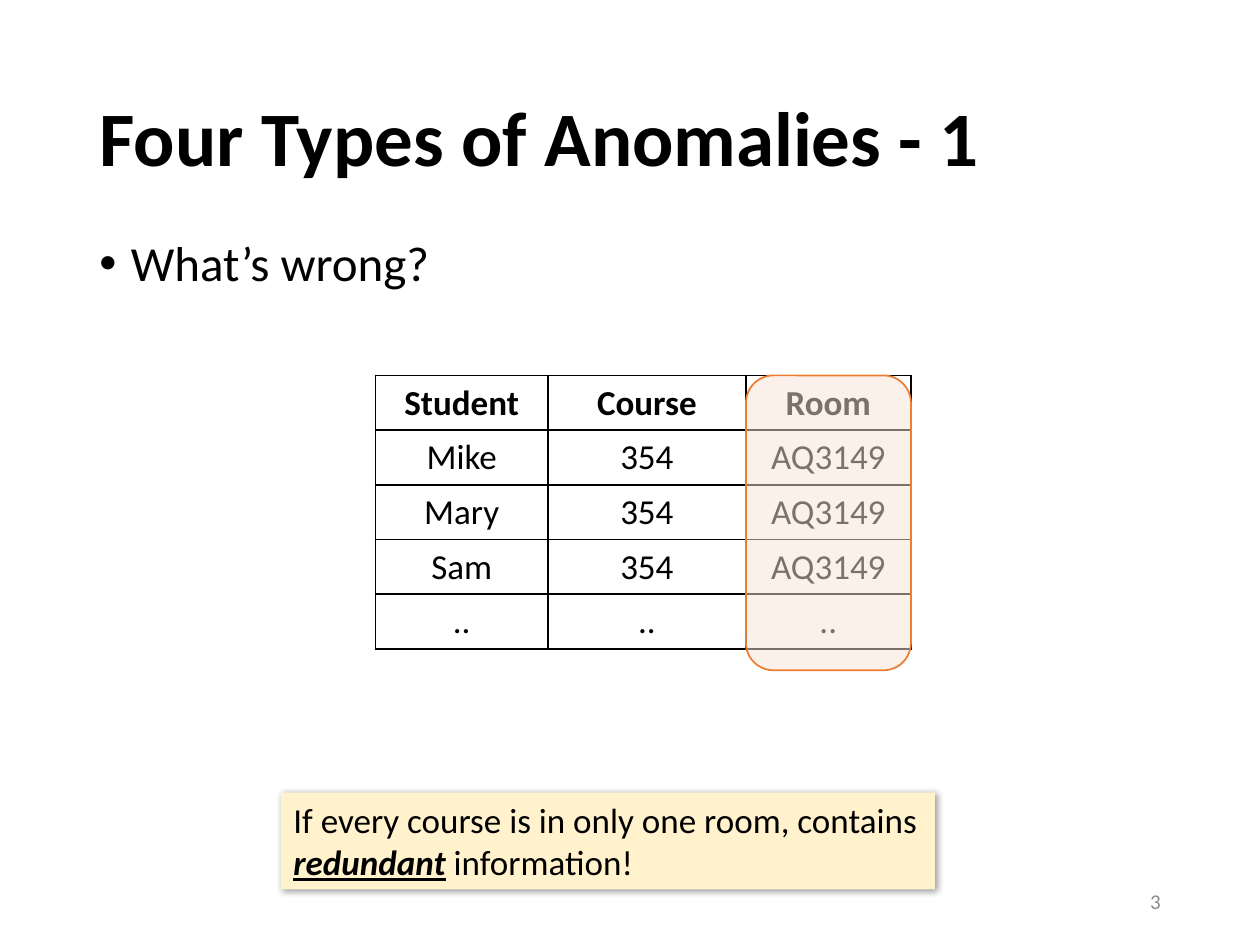
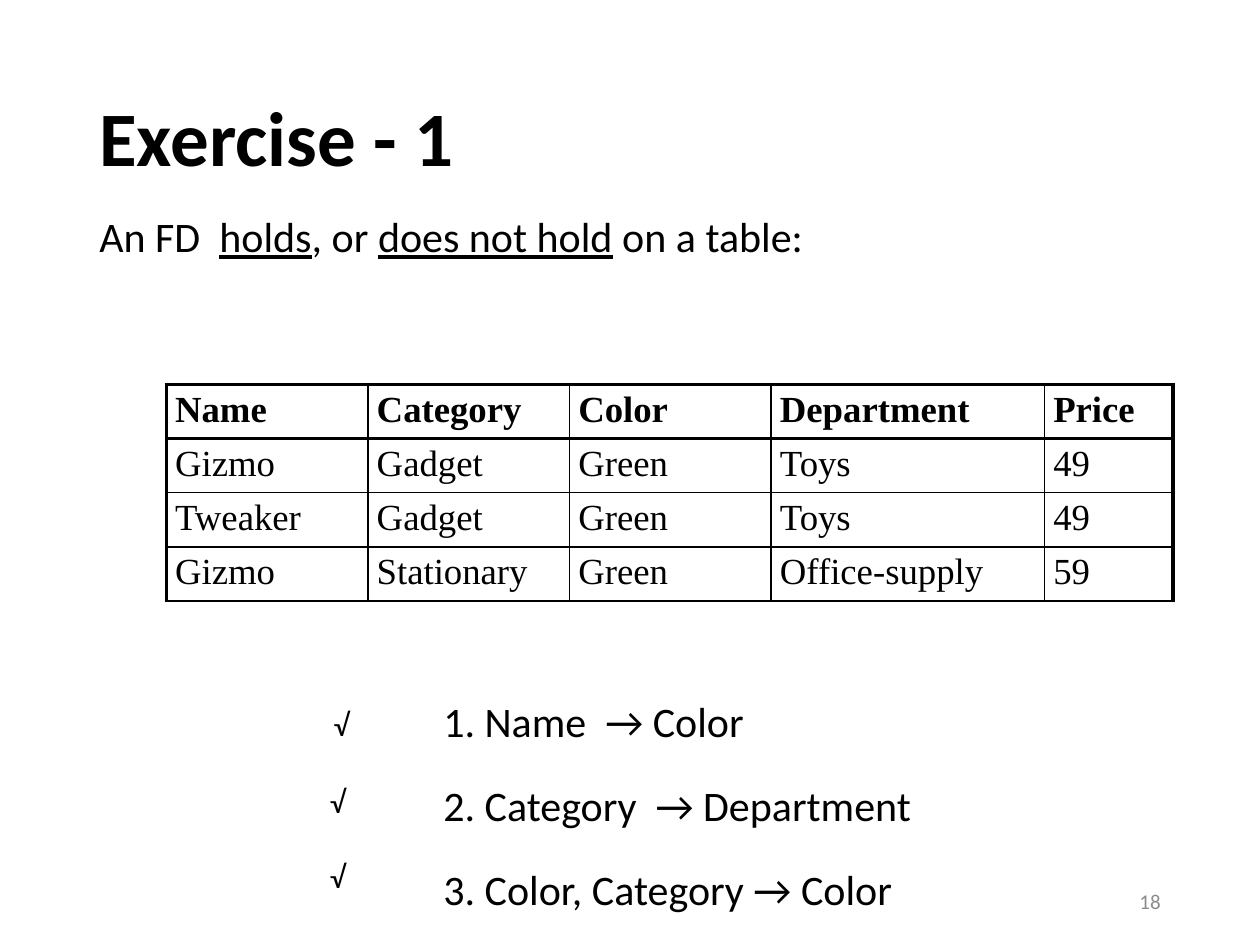
from lxml import etree
from pptx import Presentation
from pptx.dml.color import RGBColor
from pptx.enum.shapes import MSO_SHAPE
from pptx.enum.text import MSO_ANCHOR, PP_ALIGN
from pptx.oxml import parse_xml
from pptx.oxml.ns import nsdecls, qn
from pptx.util import Inches, Pt

COLORS = {
    "text": "000000",
    "number": "8C8C8C",
    "highlight": "FBE5D6",
    "highlight_line": "ED7D31",
    "callout": "FFF2CC",
    "shadow": "000000",
}
BODY_FONT = "Calibri"
TABLE_FONT = "Times New Roman"
TITLE_BOX = (0.69, 0.4, 8.62, 1.45)
NUMBER_BOX = (7.06, 6.95, 2.25, 0.4)
THIN, THICK = 1, 2.25


def rgb(name):
    return RGBColor.from_string(COLORS[name])


def inches(box):
    return [Inches(v) for v in box]


def style_run(r, size, style="", font=BODY_FONT, color="text"):
    r.font.size = Pt(size)
    r.font.name = font
    r.font.color.rgb = rgb(color)
    r.font.bold = "b" in style
    r.font.italic = "i" in style
    r.font.underline = "u" in style


def fill_paragraph(p, runs, size, color="text"):
    for text, style in runs:
        r = p.add_run()
        r.text = text
        style_run(r, size, style, color=color)


def add_text(slide, box, runs, size, color="text", anchor=MSO_ANCHOR.TOP, wrap=True):
    tf = slide.shapes.add_textbox(*inches(box)).text_frame
    tf.word_wrap = wrap
    tf.vertical_anchor = anchor
    fill_paragraph(tf.paragraphs[0], runs, size, color)
    return tf


def add_base_slide(prs, title, number):
    slide = prs.slides.add_slide(prs.slide_layouts[6])
    tf = add_text(slide, TITLE_BOX, [(title, "b")], 44, anchor=MSO_ANCHOR.MIDDLE)
    tf.paragraphs[0].line_spacing = 0.9
    tf = add_text(slide, NUMBER_BOX, [(number, "")], 12, "number", MSO_ANCHOR.MIDDLE)
    tf.paragraphs[0].alignment = PP_ALIGN.RIGHT
    return slide


def set_borders(cell, widths):
    tcPr = cell._tc.get_or_add_tcPr()
    for i, side in enumerate("LRTB"):
        tcPr.insert(i, parse_xml(
            f'<a:ln{side} {nsdecls("a")} w="{Pt(widths[side])}"><a:solidFill>'
            f'<a:srgbClr val="{COLORS["text"]}"/></a:solidFill></a:ln{side}>'))


def add_grid(slide, box, col_widths, rows, size, font=BODY_FONT,
             align=PP_ALIGN.LEFT, margins=(0.1, 0.05), outer=THIN):
    table = slide.shapes.add_table(len(rows), len(col_widths), *inches(box)).table
    table.first_row = table.horz_banding = False
    for col, width in zip(table.columns, col_widths):
        col.width = Inches(width)
    for i, values in enumerate(rows):
        table.rows[i].height = Inches(box[3] / len(rows))
        for j, value in enumerate(values):
            cell = table.cell(i, j)
            cell.margin_left = cell.margin_right = Inches(margins[0])
            cell.margin_top = cell.margin_bottom = Inches(margins[1])
            cell.fill.background()
            set_borders(cell, {
                "L": outer if j == 0 else THIN,
                "R": outer if j == len(values) - 1 else THIN,
                "T": outer if i <= 1 else THIN,
                "B": outer if i == 0 else THIN,
            })
            p = cell.text_frame.paragraphs[0]
            p.text = value
            p.alignment = align
            style_run(p.runs[0], size, "b" if i == 0 else "", font)


def add_question(slide, box, text):
    p = add_text(slide, box, [(text, "")], 28).paragraphs[0]
    p.line_spacing = 0.9
    pPr = p._p.get_or_add_pPr()
    pPr.set("marL", str(Inches(0.25)))
    pPr.set("indent", str(-Inches(0.25)))
    etree.SubElement(pPr, qn("a:buFont"), typeface="Arial")
    etree.SubElement(pPr, qn("a:buChar"), char="•")


def add_room_table(slide, box):
    left, top, width, height = box
    col_widths = (1.37, 1.57, 1.31)
    rows = [("Student", "Course", "Room")]
    rows += [(student, "354", "AQ3149") for student in ("Mike", "Mary", "Sam")]
    rows.append(("..",) * 3)
    add_grid(slide, box, col_widths, rows, 20, align=PP_ALIGN.CENTER)

    room = (left + sum(col_widths[:2]), top, col_widths[2], height + 0.17)
    sp = slide.shapes.add_shape(MSO_SHAPE.ROUNDED_RECTANGLE, *inches(room))
    sp.shadow.inherit = False
    sp.fill.solid()
    sp.fill.fore_color.rgb = rgb("highlight")
    fill_color = sp._element.spPr.find(qn("a:solidFill"))[0]
    etree.SubElement(fill_color, qn("a:alpha"), val="50000")
    sp.line.color.rgb = rgb("highlight_line")
    sp.line.width = Pt(1)


def add_callout(slide, box, runs):
    sp = slide.shapes.add_shape(MSO_SHAPE.RECTANGLE, *inches(box))
    sp.shadow.inherit = False
    sp.fill.solid()
    sp.fill.fore_color.rgb = rgb("callout")
    sp.line.fill.background()
    effects = sp._element.spPr.find(qn("a:effectLst"))
    effects.append(parse_xml(
        f'<a:outerShdw {nsdecls("a")} blurRad="{Pt(4)}" dist="{Pt(1)}" dir="2700000">'
        f'<a:srgbClr val="{COLORS["shadow"]}"><a:alpha val="40000"/></a:srgbClr>'
        '</a:outerShdw>'))
    tf = sp.text_frame
    tf.word_wrap = True
    tf.vertical_anchor = MSO_ANCHOR.TOP
    p = tf.paragraphs[0]
    p.alignment = PP_ALIGN.LEFT
    fill_paragraph(p, runs, 20)


def add_product_table(slide, box):
    rows = [
        ("Name", "Category", "Color", "Department", "Price"),
        ("Gizmo", "Gadget", "Green", "Toys", "49"),
        ("Tweaker", "Gadget", "Green", "Toys", "49"),
        ("Gizmo", "Stationary", "Green", "Office-supply", "59"),
    ]
    add_grid(slide, box, (1.6, 1.6, 1.6, 2.17, 1.02), rows, 21, TABLE_FONT,
             margins=(0.07, 0.04), outer=THICK)


def add_dependencies(slide, box, dependencies):
    left, top, width, height = box
    tf = add_text(slide, box, [(dependencies[0], "")], 24, wrap=False)
    for text in dependencies[1:]:
        p = tf.add_paragraph()
        p.space_before = Pt(4.8)
        fill_paragraph(p, [(text, "")], 24)
    for p in tf.paragraphs:
        p.line_spacing = 1.5
    for dx, dy in ((-0.87, 0.28), (-0.9, 0.89), (-0.9, 1.48)):
        add_text(slide, (left + dx, top + dy, 0.33, 0.4), [("√", "")], 18, wrap=False)


def build_anomalies(prs):
    slide = add_base_slide(prs, "Four Types of Anomalies - 1", "3")
    add_question(slide, (0.69, 1.85, 8.62, 4.76), "What’s wrong?")
    add_room_table(slide, (2.98, 2.98, 4.25, 2.17))
    add_callout(slide, (2.23, 6.29, 5.19, 0.77), [
        ("If every course is in only one room, contains ", ""),
        ("redundant", "biu"),
        (" information!", ""),
    ])


def build_exercise(prs):
    slide = add_base_slide(prs, "Exercise - 1", "18")
    add_text(slide, (0.69, 1.62, 8.41, 0.5), [
        ("An FD  ", ""), ("holds", "u"), (", or ", ""),
        ("does not hold", "u"), (" on a table:", ""),
    ], 24)
    add_product_table(slide, (1.32, 3.05, 7.99, 1.7))
    add_dependencies(slide, (3.42, 5.27, 3.97, 2.08), [
        "1. Name  → Color",
        "2. Category  → Department",
        "3. Color, Category → Color",
    ])


def main():
    prs = Presentation()
    prs.slide_width, prs.slide_height = Inches(10), Inches(7.5)
    build_anomalies(prs)
    build_exercise(prs)
    prs.save("out.pptx")


if __name__ == "__main__":
    main()
